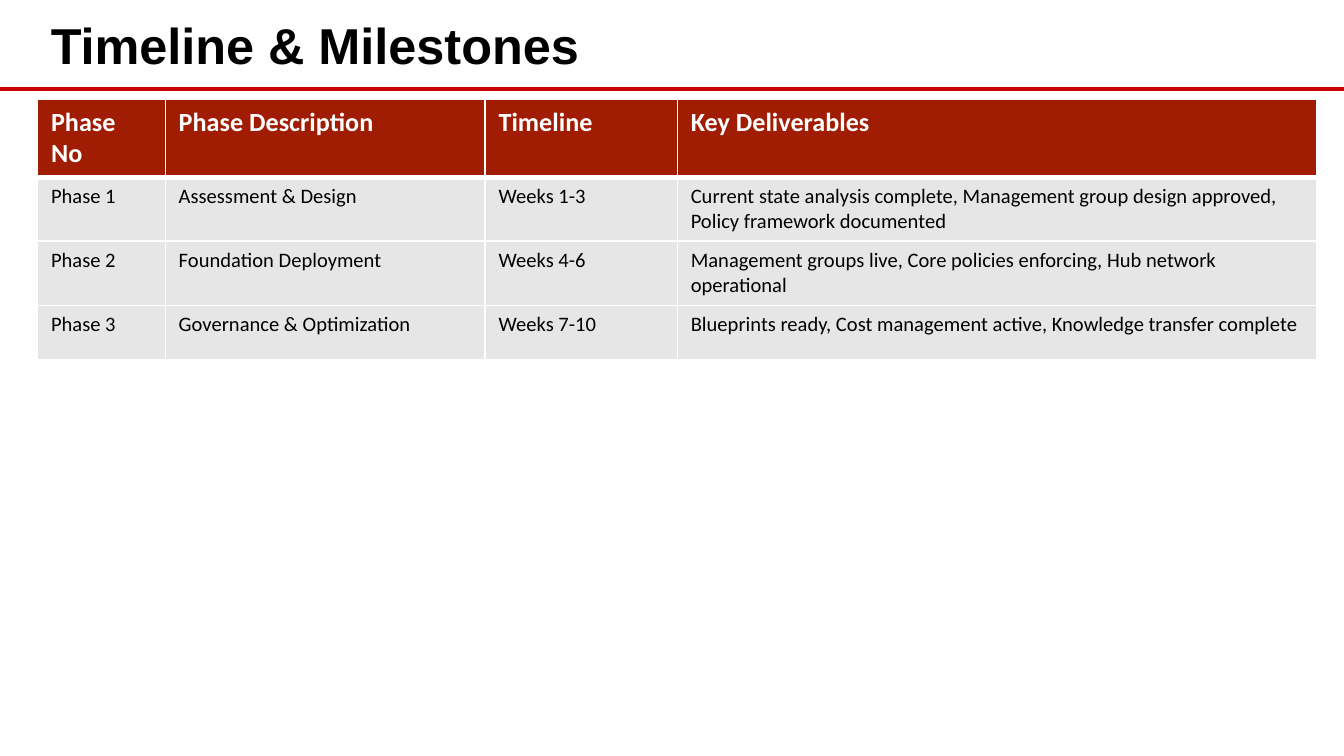
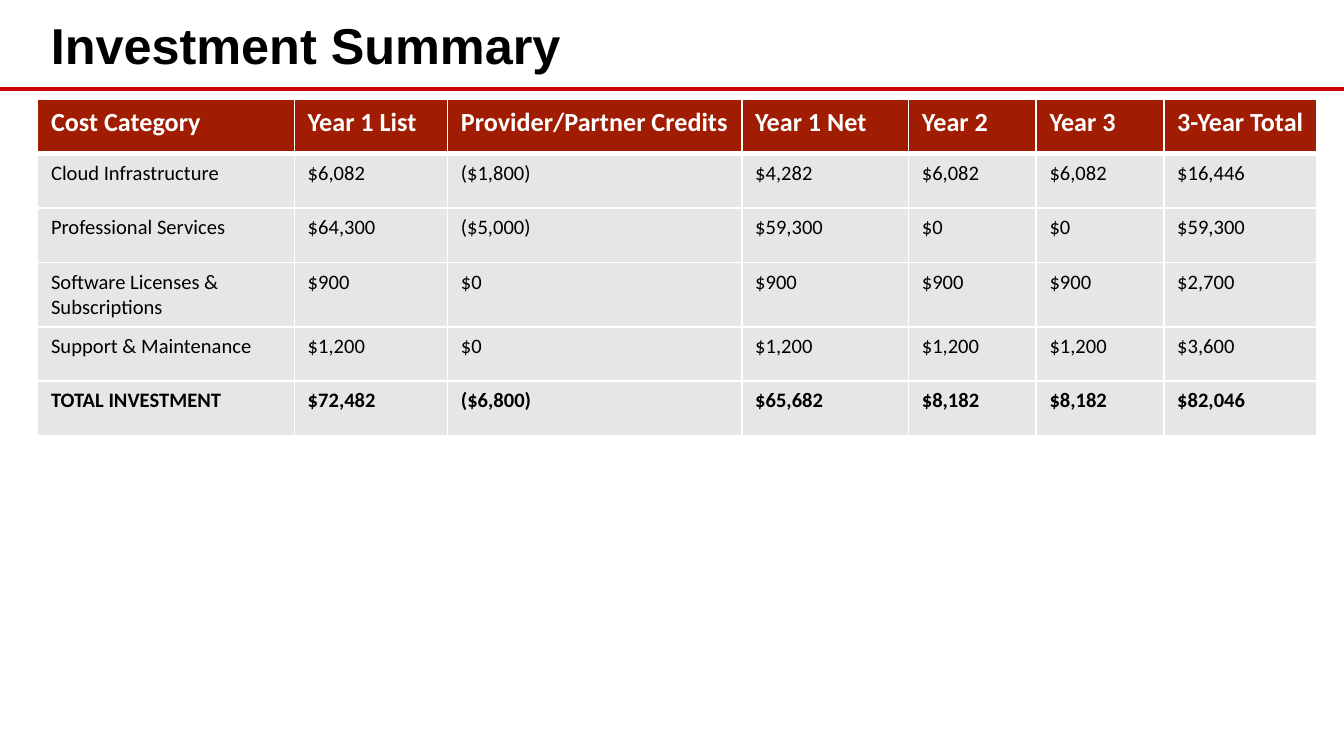
from lxml.etree import SubElement
from pptx import Presentation
from pptx.dml.color import RGBColor
from pptx.enum.shapes import MSO_CONNECTOR
from pptx.enum.text import MSO_ANCHOR
from pptx.oxml.ns import qn
from pptx.util import Inches, Pt

# Shared style
BLACK = RGBColor(0x00, 0x00, 0x00)
WHITE = RGBColor(0xFF, 0xFF, 0xFF)
RULE_RED = RGBColor(0xCC, 0x00, 0x00)
HEADER_RED = RGBColor(0xA0, 0x1C, 0x02)
ROW_GREY = RGBColor(0xE7, 0xE6, 0xE6)
TITLE_FONT = "Arial"
TABLE_FONT = "Calibri"
LEFT, CONTENT_WIDTH = 0.28, 9.53
TABLE_TOP, ROW_HEIGHT = 0.74, 1.62 / 4

# Content
MILESTONE_WIDTHS = [0.95, 2.38, 1.43, 4.76]
MILESTONES = [
    ["Phase No", "Phase Description", "Timeline", "Key Deliverables"],
    ["Phase 1", "Assessment & Design", "Weeks 1-3",
     "Current state analysis complete, Management group design approved, "
     "Policy framework documented"],
    ["Phase 2", "Foundation Deployment", "Weeks 4-6",
     "Management groups live, Core policies enforcing, Hub network operational"],
    ["Phase 3", "Governance & Optimization", "Weeks 7-10",
     "Blueprints ready, Cost management active, Knowledge transfer complete"],
]
INVESTMENT_WIDTHS = [1.91, 1.14, 2.19, 1.24, 0.95, 0.95, 1.14]
INVESTMENT = [
    ["Cost Category", "Year 1 List", "Provider/Partner Credits", "Year 1 Net",
     "Year 2", "Year 3", "3-Year Total"],
    ["Cloud Infrastructure", "$6,082", "($1,800)", "$4,282", "$6,082", "$6,082", "$16,446"],
    ["Professional Services", "$64,300", "($5,000)", "$59,300", "$0", "$0", "$59,300"],
    ["Software Licenses & Subscriptions", "$900", "$0", "$900", "$900", "$900", "$2,700"],
    ["Support & Maintenance", "$1,200", "$0", "$1,200", "$1,200", "$1,200", "$3,600"],
    ["TOTAL INVESTMENT", "$72,482", "($6,800)", "$65,682", "$8,182", "$8,182", "$82,046"],
]


def write_text(text_frame, text, *, font, size, color=BLACK, bold=False, space_before=None):
    paragraph = text_frame.paragraphs[0]
    if space_before:
        # Spacing as a percentage of the line
        spacing = SubElement(paragraph._p.get_or_add_pPr(), qn("a:spcBef"))
        SubElement(spacing, qn("a:spcPct"), val=str(space_before * 1000))
    run = paragraph.add_run()
    run.text = text
    run.font.name = font
    run.font.size = Pt(size)
    run.font.bold = bold
    run.font.color.rgb = color


def add_rule(slide):
    rule = slide.shapes.add_connector(
        MSO_CONNECTOR.STRAIGHT, 0, Inches(0.66), Inches(10), Inches(0.66))
    rule.line.color.rgb = RULE_RED
    rule.line.width = Pt(2.25)
    SubElement(rule._element.spPr, qn("a:effectLst"))


def add_title(slide, text):
    title = slide.shapes.add_textbox(
        Inches(LEFT), Inches(0.04), Inches(CONTENT_WIDTH), Inches(0.58))
    title.text_frame.word_wrap = True
    title.text_frame.vertical_anchor = MSO_ANCHOR.MIDDLE
    write_text(title.text_frame, text, font=TITLE_FONT, size=27, bold=True, space_before=20)


def set_borders(cell, **widths):
    properties = cell._tc.get_or_add_tcPr()
    for side in ("L", "R", "T", "B"):
        line = SubElement(properties, qn(f"a:ln{side}"), w=str(Pt(widths.get(side, 1))))
        fill = SubElement(line, qn("a:solidFill"))
        SubElement(fill, qn("a:srgbClr"), val=str(WHITE))


def add_table(slide, rows, widths, total_row=False):
    table = slide.shapes.add_table(
        len(rows), len(widths), Inches(LEFT), Inches(TABLE_TOP),
        Inches(CONTENT_WIDTH), Inches(ROW_HEIGHT * len(rows))).table
    table.horz_banding = False
    for column, width in zip(table.columns, widths):
        column.width = Inches(width)
    for row_index, row in enumerate(rows):
        table.rows[row_index].height = Inches(ROW_HEIGHT)
        is_header = row_index == 0
        is_total = total_row and row_index == len(rows) - 1
        for column_index, text in enumerate(row):
            cell = table.cell(row_index, column_index)
            cell.margin_bottom = Inches(0.06)
            # The thick edge lies between the header and the first body row
            set_borders(cell, B=3 if is_header else 1, T=3 if row_index == 1 else 1)
            cell.fill.solid()
            cell.fill.fore_color.rgb = HEADER_RED if is_header else ROW_GREY
            write_text(cell.text_frame, text, font=TABLE_FONT,
                       size=14 if is_header else 11,
                       color=WHITE if is_header else BLACK,
                       bold=is_header or is_total)


def add_table_slide(presentation, title, rows, widths, total_row=False):
    slide = presentation.slides.add_slide(presentation.slide_layouts[6])
    add_rule(slide)
    add_title(slide, title)
    add_table(slide, rows, widths, total_row)


def main():
    presentation = Presentation()
    presentation.slide_width = Inches(10)
    presentation.slide_height = Inches(10 * 9 / 16)
    add_table_slide(presentation, "Timeline & Milestones", MILESTONES, MILESTONE_WIDTHS)
    add_table_slide(presentation, "Investment Summary", INVESTMENT, INVESTMENT_WIDTHS,
                    total_row=True)
    presentation.save("out.pptx")


if __name__ == "__main__":
    main()
